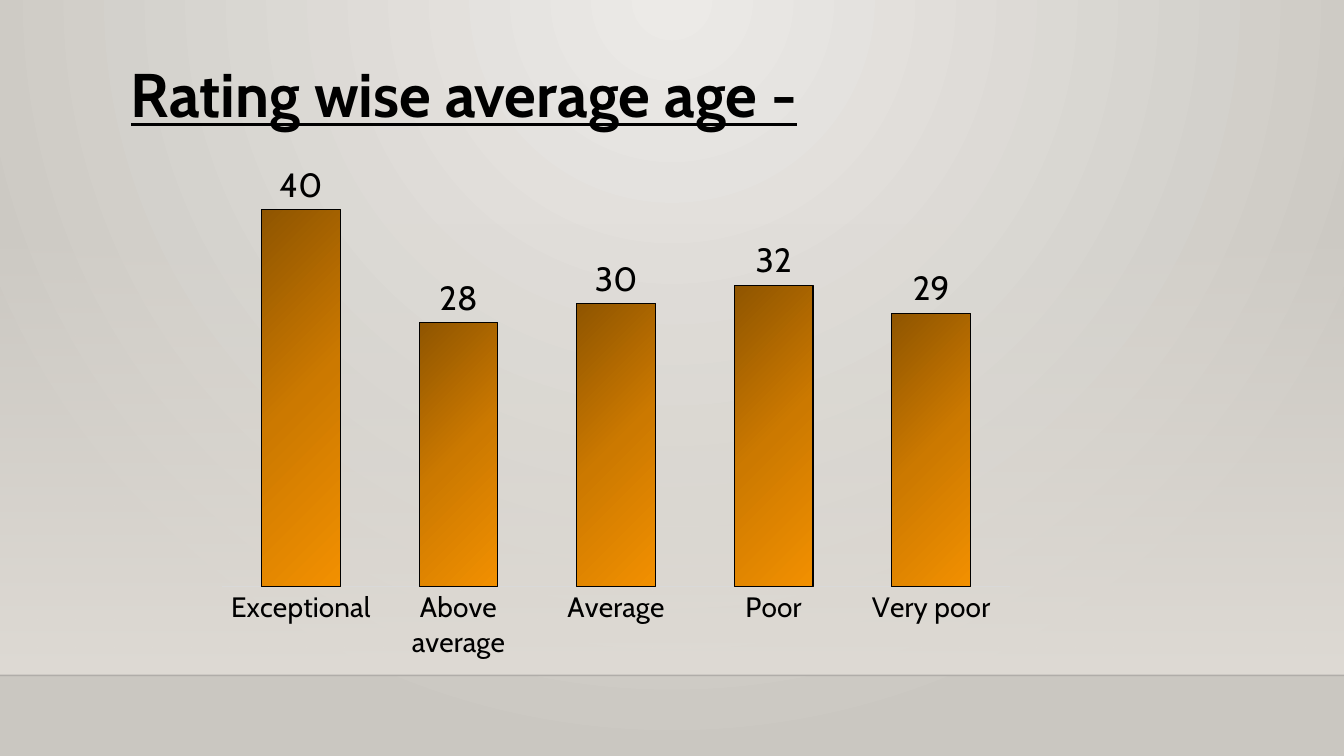
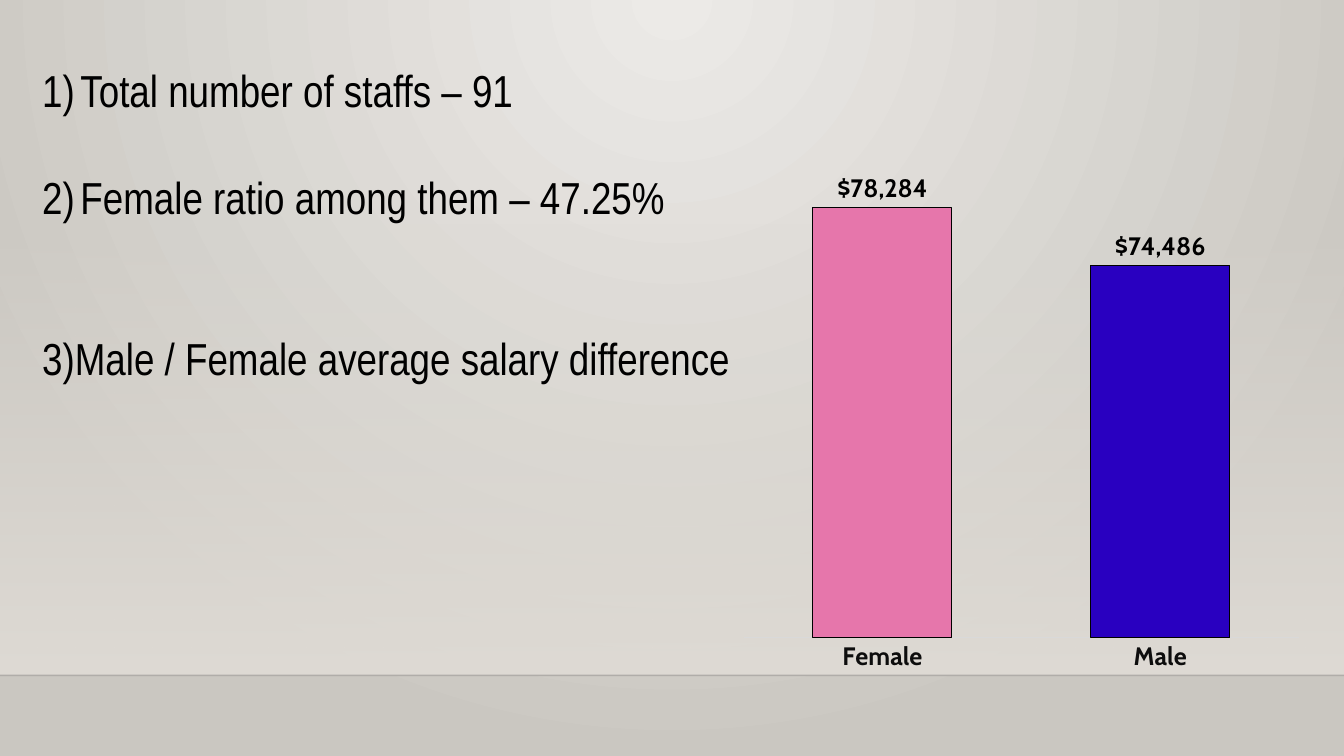
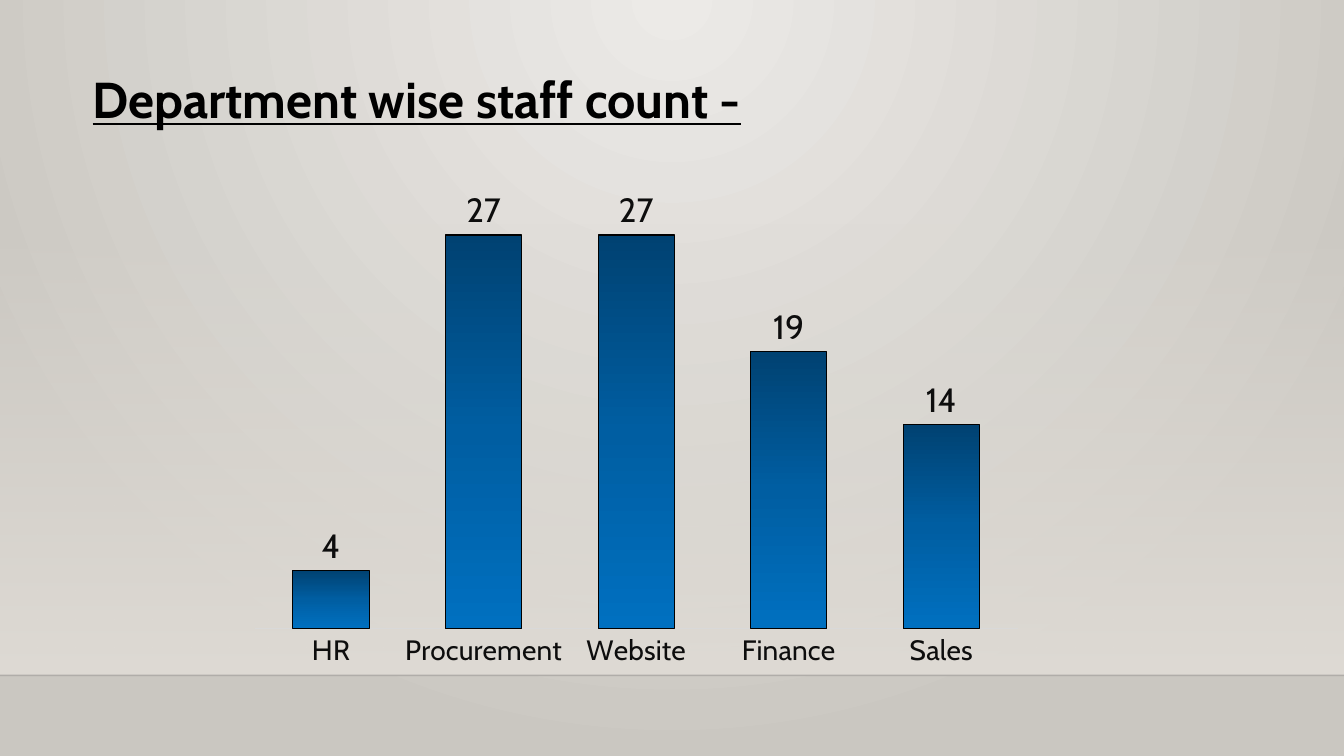
"""Build three staff statistics slides with column charts on a shared backdrop."""
import lxml.etree
import pptx
import pptx.chart.data
import pptx.dml.color
import pptx.enum.chart
import pptx.enum.dml
import pptx.enum.shapes
import pptx.enum.text
import pptx.oxml.ns
import pptx.util

PX = 9144
SLIDE_WIDTH, SLIDE_HEIGHT = 1333, 750
BAND_TOP, FLOOR_TOP = 221, 670
CHART_FONT, LIST_FONT = "Cabin", "Arial Narrow"
BLACK, SOFT_BLACK, AXIS_GREY = "000000", "0D0D0D", "D9D9D9"
BACKGROUND_STOPS = [(0, "ECEAE7", 100), (100, "CAC7C1", 100)]
BAND_STOPS = [(0, "DFDBD5", 0), (100, "DFDBD5", 100)]
ORANGE_STOPS = [(0, "8F5500", 100), (50, "CC7900", 100), (100, "F29000", 100)]
BLUE_STOPS = [(0, "004272", 100), (50, "005EA2", 100), (100, "0070C0", 100)]

SLIDES = [
    {
        "title": ("Rating wise average age -", 44, (120, 51, 801, 84)),
        "chart": {
            "box": (204, 151, 814, 514),
            "data": [("Exceptional", 40), ("Above average", 28), ("Average", 30),
                     ("Poor", 32), ("Very poor", 29)],
            "range": (0, 45), "format": "0", "gradient": (ORANGE_STOPS, 45),
            "axis_text": (20, BLACK, False), "label_text": (24, BLACK, False),
        },
    },
    {
        "list": {
            "box": (32, 57, 877, 417),
            "items": [("Total number of staffs – 91", True, 0),
                      ("Female ratio among them – 47.25%", True, 38),
                      ("3)Male / Female average salary difference", False, 77)],
        },
        "chart": {
            "box": (726, 170, 574, 507),
            "data": [("Female", 78284), ("Male", 74486)],
            "range": (50000, 80000), "format": '"$"#,##0',
            "point_colours": ["E676AB", "2900C0"],
            "axis_text": (18, SOFT_BLACK, True), "label_text": (18, BLACK, True),
        },
    },
    {
        "title": ("Department wise staff count -", 36, (82, 63, 901, 71)),
        "chart": {
            "box": (237, 180, 788, 492),
            "data": [("HR", 4), ("Procurement", 27), ("Website", 27),
                     ("Finance", 19), ("Sales", 14)],
            "range": (0, 30), "format": "0", "gradient": (BLUE_STOPS, 90),
            "axis_text": (20, SOFT_BLACK, False), "label_text": (24, SOFT_BLACK, False),
        },
    },
]


def colour(value):
    return pptx.dml.color.RGBColor.from_string(value)


def emu(box):
    return [pptx.util.Emu(length * PX) for length in box]


def add_child(parent, tag, **attributes):
    child = lxml.etree.SubElement(parent, pptx.oxml.ns.qn(tag))
    for name, value in attributes.items():
        child.set(name, str(value))
    return child


def paint_gradient(fill, owner, stops, angle=None):
    fill.gradient()
    gradient = owner.find(".//" + pptx.oxml.ns.qn("a:gradFill"))
    gradient.clear()
    gradient.set("rotWithShape", "1")
    stop_list = add_child(gradient, "a:gsLst")
    for position, value, opacity in stops:
        stop = add_child(stop_list, "a:gs", pos=position * 1000)
        stop_colour = add_child(stop, "a:srgbClr", val=value)
        if opacity < 100:
            add_child(stop_colour, "a:alpha", val=opacity * 1000)
    if angle is None:
        circle = add_child(gradient, "a:path", path="circle")
        add_child(circle, "a:fillToRect", l=43000, t=0, r=43000, b=100000)
    else:
        add_child(gradient, "a:lin", ang=angle * 60000, scaled=0)


def style_font(font, name, size, value, bold=False):
    font.name = name
    font.size = pptx.util.Pt(size)
    font.color.rgb = colour(value)
    font.bold = bold


def add_backdrop(slide):
    band = slide.shapes.add_shape(
        pptx.enum.shapes.MSO_SHAPE.RECTANGLE,
        *emu((0, BAND_TOP, SLIDE_WIDTH, FLOOR_TOP - BAND_TOP)))
    band.shadow.inherit = False
    band.line.fill.background()
    paint_gradient(band.fill, band.element, BAND_STOPS, 90)
    floor_line = slide.shapes.add_connector(
        pptx.enum.shapes.MSO_CONNECTOR.STRAIGHT,
        *emu((0, FLOOR_TOP, SLIDE_WIDTH, FLOOR_TOP)))
    floor_line.line.width = pptx.util.Pt(1)
    floor_line.line.color.rgb = colour("000001")
    line_colour = floor_line.element.spPr.find(".//" + pptx.oxml.ns.qn("a:srgbClr"))
    add_child(line_colour, "a:alpha", val=20000)
    add_child(floor_line.element.spPr, "a:effectLst")


def add_text_frame(slide, box):
    text_frame = slide.shapes.add_textbox(*emu(box)).text_frame
    text_frame.word_wrap = True
    text_frame.auto_size = pptx.enum.text.MSO_AUTO_SIZE.SHAPE_TO_FIT_TEXT
    return text_frame


def add_title(slide, text, size, box):
    run = add_text_frame(slide, box).paragraphs[0].add_run()
    run.text = text
    style_font(run.font, CHART_FONT, size, BLACK, True)
    run.font.underline = True


def add_list(slide, box, items):
    text_frame = add_text_frame(slide, box)
    for index, (text, numbered, space_before) in enumerate(items):
        paragraph = text_frame.add_paragraph() if index else text_frame.paragraphs[0]
        paragraph.space_before = pptx.util.Pt(space_before)
        if numbered:
            properties = paragraph._p.get_or_add_pPr()
            properties.set("marL", str(38 * PX))
            properties.set("indent", str(-38 * PX))
            add_child(properties, "a:buFont", typeface=LIST_FONT)
            add_child(properties, "a:buAutoNum", type="arabicParenR")
        run = paragraph.add_run()
        run.text = text
        style_font(run.font, LIST_FONT, 32, BLACK)


def add_column_chart(slide, content):
    chart_data = pptx.chart.data.CategoryChartData(number_format=content["format"])
    chart_data.categories = [name for name, _ in content["data"]]
    chart_data.add_series("Series 1", [value for _, value in content["data"]])
    chart = slide.shapes.add_chart(
        pptx.enum.chart.XL_CHART_TYPE.COLUMN_CLUSTERED,
        *emu(content["box"]), chart_data).chart
    chart.has_title = False
    chart.has_legend = False
    style_font(chart.font, CHART_FONT, 10, BLACK)

    category_axis, value_axis = chart.category_axis, chart.value_axis
    category_axis.major_tick_mark = pptx.enum.chart.XL_TICK_MARK.NONE
    category_axis.format.line.color.rgb = colour(AXIS_GREY)
    category_axis.format.line.width = pptx.util.Pt(0.75)
    style_font(category_axis.tick_labels.font, CHART_FONT, *content["axis_text"])
    value_axis.minimum_scale, value_axis.maximum_scale = content["range"]
    value_axis.has_major_gridlines = False
    value_axis.visible = False

    plot = chart.plots[0]
    plot.vary_by_categories = False
    plot.gap_width, plot.overlap = 100, -27
    series = plot.series[0]
    if "gradient" in content:
        paint_gradient(series.format.fill, series._element, *content["gradient"])
    bars = [series] + [series.points[index]
                       for index in range(len(content.get("point_colours", [])))]
    for bar in bars:
        bar.format.line.color.rgb = colour(BLACK)
        bar.format.line.width = pptx.util.Pt(0.75)
    for bar, value in zip(bars[1:], content.get("point_colours", [])):
        bar.format.fill.solid()
        bar.format.fill.fore_color.rgb = colour(value)

    labels = series.data_labels
    labels.show_value = True
    labels.position = pptx.enum.chart.XL_LABEL_POSITION.OUTSIDE_END
    labels.number_format = content["format"]
    labels.number_format_is_linked = False
    style_font(labels.font, CHART_FONT, *content["label_text"])


def main():
    presentation = pptx.Presentation()
    presentation.slide_width, presentation.slide_height = emu((SLIDE_WIDTH, SLIDE_HEIGHT))
    master = presentation.slide_master
    paint_gradient(master.background.fill, master.element, BACKGROUND_STOPS)
    for content in SLIDES:
        slide = presentation.slides.add_slide(presentation.slide_layouts[6])
        add_backdrop(slide)
        if "title" in content:
            add_title(slide, *content["title"])
        if "list" in content:
            add_list(slide, **content["list"])
        add_column_chart(slide, content["chart"])
    presentation.save("out.pptx")


if __name__ == "__main__":
    main()
